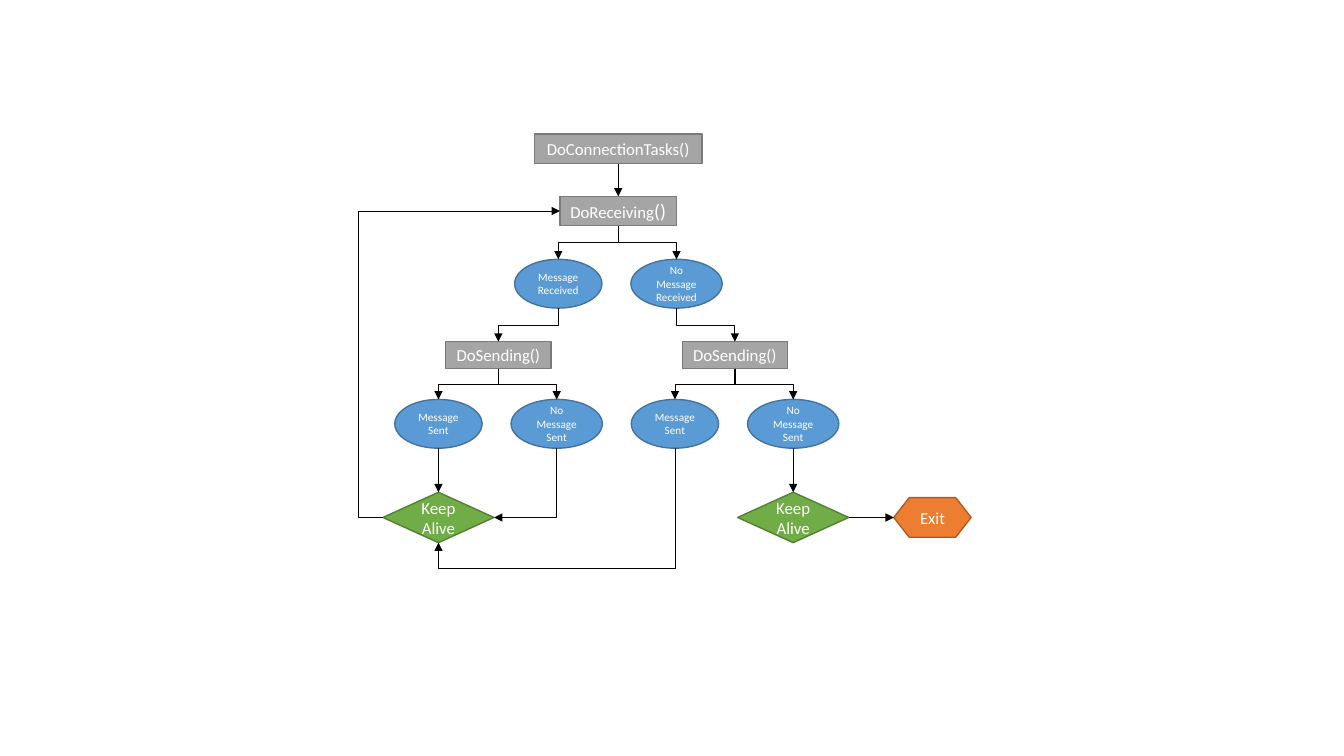
from lxml.etree import SubElement
from pptx import Presentation
from pptx.dml.color import RGBColor
from pptx.enum.shapes import MSO_CONNECTOR as Link, MSO_SHAPE as Form
from pptx.enum.text import MSO_ANCHOR as Anchor, PP_ALIGN as Align
from pptx.oxml.ns import qn
from pptx.util import Cm, Pt

COLORS = {
    "task": "A5A5A5", "task_edge": "7A7A7A",
    "result": "5B9BD5", "result_edge": "43739E",
    "decision": "70AD47", "decision_edge": "538035",
    "exit": "ED7D31", "exit_edge": "AF5C24",
    "text": "FFFFFF", "arrow": "000000",
}
FORMS = {
    "task": Form.RECTANGLE,
    "result": Form.OVAL,
    "decision": Form.FLOWCHART_DECISION,
    "exit": Form.FLOWCHART_PREPARATION,
}
TOP, LEFT, BOTTOM, RIGHT = range(4)
ROOT_X, STEP_LEFT, STEP_RIGHT = 15.58, 1.51, 1.47
ROWS = {"connect": 3.75, "receive": 5.32, "received": 7.15,
        "send": 8.95, "sent": 10.68, "alive": 13.04}


def color(name):
    return RGBColor.from_string(COLORS[name])


def add_text(paragraph, text, size=12, font="Calibri", fill="text"):
    run = paragraph.add_run()
    run.text = text
    run.font.size = Pt(size)
    run.font.name = font
    run.font.color.rgb = color(fill)


class Flowchart:
    def __init__(self, slide, edge_width=1, arrow_width=0.5):
        self.slide = slide
        self.edge_width = Pt(edge_width)
        self.arrow_width = Pt(arrow_width)

    def node(self, kind, text, x, y, width, height, size=12):
        shape = self.slide.shapes.add_shape(
            FORMS[kind], Cm(x - width / 2), Cm(y - height / 2), Cm(width), Cm(height))
        shape.shadow.inherit = False
        shape.fill.solid()
        shape.fill.fore_color.rgb = color(kind)
        shape.line.color.rgb = color(kind + "_edge")
        shape.line.width = self.edge_width
        shape.text_frame.word_wrap = True
        shape.text_frame.vertical_anchor = Anchor.MIDDLE
        paragraph = shape.text_frame.paragraphs[0]
        paragraph.alignment = Align.CENTER
        add_text(paragraph, text, size=size)
        return shape

    def task(self, text, x, y, width, height=0.74):
        return self.node("task", text, x, y, width, height)

    def results(self, x, y, outcome):
        return (
            self.node("result", f"Message {outcome}", x - STEP_LEFT, y, 2.2, 1.23, size=8),
            self.node("result", f"No Message {outcome}", x + STEP_RIGHT, y, 2.3, 1.23, size=8),
        )

    def decision(self, x, y):
        return self.node("decision", "Keep Alive", x, y, 2.8, 1.27)

    def arrow(self, source, target, start=BOTTOM, end=TOP, kind=Link.STRAIGHT):
        connector = self.slide.shapes.add_connector(kind, 0, 0, 0, 0)
        connector.begin_connect(source, start)
        connector.end_connect(target, end)
        joints = connector._element.nvCxnSpPr.cNvCxnSpPr
        for joint, shape, side in ((joints.stCxn, source, start), (joints.endCxn, target, end)):
            if shape.auto_shape_type == Form.OVAL:
                joint.idx = side * 2
        connector.line.color.rgb = color("arrow")
        connector.line.width = self.arrow_width
        SubElement(connector.line._get_or_add_ln(), qn("a:tailEnd"), type="triangle")
        SubElement(connector._element.spPr, qn("a:effectLst"))
        return connector

    def elbow(self, source, target, start=BOTTOM, end=TOP, bend=0.5, preset="bentConnector3"):
        connector = self.arrow(source, target, start, end, Link.ELBOW)
        properties = connector._element.spPr
        geometry = properties.find(qn("a:prstGeom"))
        geometry.set("prst", preset)
        if bend != 0.5:
            guides = geometry.find(qn("a:avLst"))
            SubElement(guides, qn("a:gd"), name="adj1", fmla=f"val {round(bend * 100000)}")
        if start == BOTTOM:
            self.turn_down(connector, properties.xfrm)
        return connector

    def turn_down(self, connector, transform):
        goes_right = connector.end_x > connector.begin_x
        width, height = connector.width, connector.height
        center_x = connector.left + width // 2
        center_y = connector.top + height // 2
        connector.left, connector.top = center_x - height // 2, center_y - width // 2
        connector.width, connector.height = height, width
        transform.flipH, transform.flipV = goes_right, False
        transform.rot = 270.0 if goes_right else 90.0


def main():
    presentation = Presentation()
    presentation.slide_width, presentation.slide_height = Cm(33.87), Cm(19.05)
    chart = Flowchart(presentation.slides.add_slide(presentation.slide_layouts[6]))

    connect = chart.task("DoConnectionTasks()", ROOT_X, ROWS["connect"], 4.22)
    receive = chart.task("DoReceiving", ROOT_X, ROWS["receive"], 2.94)
    add_text(receive.text_frame.paragraphs[0], "()", size=14)
    received = chart.results(ROOT_X, ROWS["received"], "Received")

    send_columns = (ROOT_X - 2 * STEP_LEFT, ROOT_X + 2 * STEP_RIGHT)
    sends = [chart.task("DoSending()", x, ROWS["send"], 2.65, 0.68) for x in send_columns]
    sent = [chart.results(x, ROWS["sent"], "Sent") for x in send_columns]
    alive = chart.decision(send_columns[0] - STEP_LEFT, ROWS["alive"])
    last_alive = chart.decision(send_columns[1] + STEP_RIGHT, ROWS["alive"])
    leave = chart.node("exit", "Exit", 23.5, ROWS["alive"], 1.95, 1)

    chart.arrow(connect, receive)
    for result, send, outcomes in zip(received, sends, sent):
        chart.elbow(receive, result)
        chart.elbow(result, send)
        for outcome in outcomes:
            chart.elbow(send, outcome)

    chart.arrow(sent[0][0], alive)
    chart.elbow(sent[0][1], alive, end=RIGHT, preset="bentConnector2")
    chart.elbow(sent[1][0], alive, end=BOTTOM, bend=1.27)
    chart.arrow(sent[1][1], last_alive)
    chart.arrow(last_alive, leave, start=RIGHT, end=LEFT)
    chart.elbow(alive, receive, start=LEFT, end=LEFT, bend=-0.14)

    presentation.save("out.pptx")


if __name__ == "__main__":
    main()
